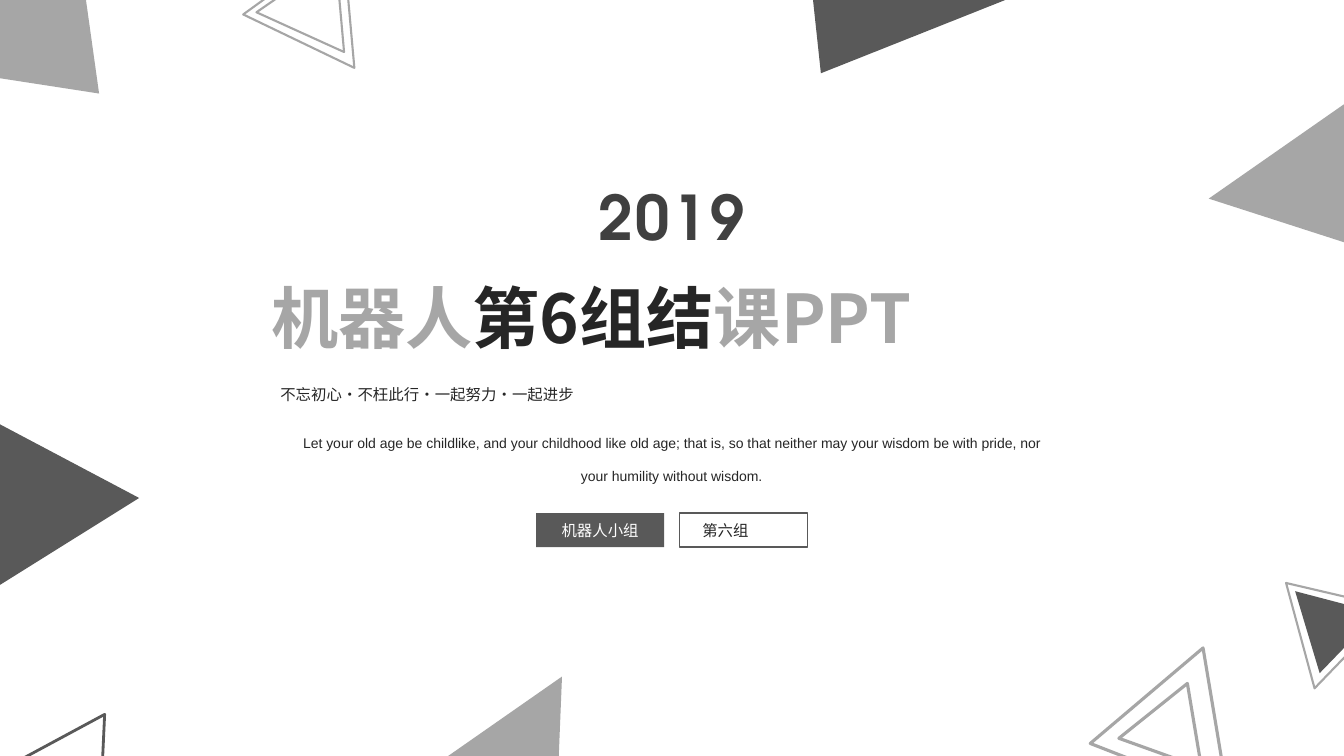
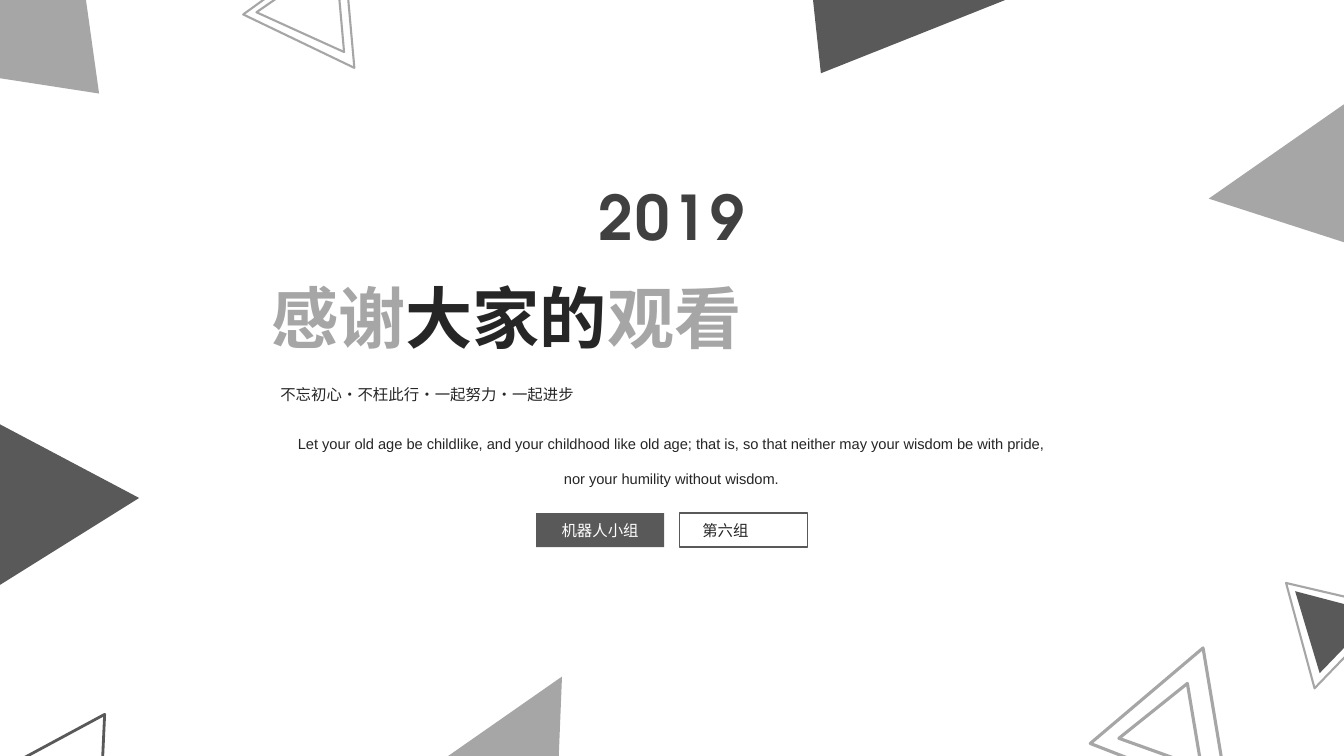
from lxml import etree
from pptx import Presentation
from pptx.dml.color import RGBColor
from pptx.enum.shapes import MSO_SHAPE
from pptx.enum.text import MSO_ANCHOR, MSO_AUTO_SIZE, PP_ALIGN
from pptx.oxml.ns import qn
from pptx.util import Cm, Pt

TRIANGLE, RECTANGLE = MSO_SHAPE.ISOSCELES_TRIANGLE, MSO_SHAPE.RECTANGLE
TOP, MIDDLE = MSO_ANCHOR.TOP, MSO_ANCHOR.MIDDLE
CENTER, JUSTIFY = PP_ALIGN.CENTER, PP_ALIGN.JUSTIFY
GROW, FIXED = MSO_AUTO_SIZE.SHAPE_TO_FIT_TEXT, MSO_AUTO_SIZE.NONE

DARK, LIGHT, INK, YEAR_GREY, WHITE = "595959", "A6A6A6", "262626", "404040", "FFFFFF"
CHINESE, LATIN, DISPLAY = "Noto Sans CJK SC", "Arial", "TeX Gyre Adventor"

# Content: title parts with their colours, and the size of the quote
SLIDES = [
    {"title": [("机器人", LIGHT), ("第6组结", INK), ("课PPT", LIGHT)], "quote_size": 10},
    {"title": [("感谢", LIGHT), ("大家的", INK), ("观看", LIGHT)], "quote_size": 10.5},
]
YEAR = "2019"
MOTTO = "不忘初心·不枉此行·一起努力·一起进步"
QUOTE = ("Let your old age be childlike, and your childhood like old age; that is, "
         "so that neither may your wisdom be with pride, nor your humility without wisdom.")
# Label, fill, line, text colour, alignment
BUTTONS = [
    ("机器人小组", DARK, None, WHITE, CENTER),
    ("第六组", None, DARK, INK, JUSTIFY),
]

# Positions in centimetres: left, top, width, height
YEAR_AREA = (13.46, 4.39, 6.93, 2.13)
TITLE_AREA = (6.58, 6.83, 20.7, 2.31)
MOTTO_AREA = (6.81, 9.58, 20.27, 0.74)
QUOTE_AREA = (7.11, 10.39, 19.63, 1.83)
BUTTON_AREA = (13.51, 12.93, 3.23, 0.86)
BUTTON_PITCH, BUTTON_INSET = 3.61, 0.58

# Area, rotation, colour, outline width (0 means filled)
TRIANGLES = [
    ((18.14, -2.87, 7.72, 5.08), 211.1, DARK, 0),
    ((0.58, 18.52, 2.77, 2.31), 151.7, DARK, 2),
    ((-2.67, 9.7, 5.36, 4.62), 328, DARK, 0),
    ((5.87, -1.09, 3.18, 2.67), 264.9, LIGHT, 1.5),
    ((6.32, -0.84, 2.39, 2.11), 264.9, LIGHT, 1.5),
    ((-3.15, -2.06, 7.67, 5.16), 135.4, LIGHT, 0),
    ((31.85, 14.33, 2.82, 2.36), 314, LIGHT, 1.5),
    ((32.26, 14.61, 2.11, 1.88), 314, DARK, 0),
    ((27.15, 16.87, 3.81, 3.2), 260.5, LIGHT, 2.25),
    ((28.07, 17.48, 2.16, 1.93), 260.5, LIGHT, 2.25),
    ((31.22, 2.34, 7.72, 5.08), 145.1, LIGHT, 0),
    ((8.59, 18.8, 7.72, 5.08), 145.1, LIGHT, 0),
]


def colour(value):
    return RGBColor.from_string(value)


def set_all(target, values):
    for name, value in values.items():
        setattr(target, name, value)


def place(box, area):
    set_all(box, dict(zip(("left", "top", "width", "height"), map(Cm, area))))


def add_figure(page, kind, area, fill=None, line=None, width=1):
    box = page.shapes.add_shape(kind, *map(Cm, area))
    box.shadow.inherit = False
    if fill:
        box.fill.solid()
        box.fill.fore_color.rgb = colour(fill)
    else:
        box.fill.background()
    if line:
        box.line.color.rgb = colour(line)
        box.line.width = Pt(width)
    else:
        box.line.fill.background()
    return box


def write(box, parts, size, font, align, bold=False, spacing=1.0, tracking=0,
          anchor=TOP, fit=GROW):
    """Write one paragraph made of (text, colour) parts."""
    set_all(box.text_frame, {"word_wrap": True, "auto_size": fit, "vertical_anchor": anchor})
    para = box.text_frame.paragraphs[0]
    set_all(para, {"alignment": align, "line_spacing": spacing, "space_before": Pt(0)})
    for text, text_colour in parts:
        span = para.add_run()
        span.text = text
        set_all(span.font, {"size": Pt(size), "name": font, "bold": bold})
        span.font.color.rgb = colour(text_colour)
        # East Asian typeface and letter spacing
        properties = span._r.get_or_add_rPr()
        etree.SubElement(properties, qn("a:ea")).set("typeface", font)
        if tracking:
            properties.set("spc", str(tracking * 100))


def add_text(page, area, *args, **options):
    write(page.shapes.add_textbox(*map(Cm, area)), *args, **options)


def add_triangles(page):
    for area, rotation, tint, width in TRIANGLES:
        paint = {"line": tint, "width": width} if width else {"fill": tint}
        add_figure(page, TRIANGLE, area, **paint).rotation = rotation


def add_buttons(page):
    left, top, width, height = BUTTON_AREA
    margins = {"margin_left": Cm(BUTTON_INSET), "margin_right": Cm(BUTTON_INSET),
               "margin_top": 0, "margin_bottom": 0}
    for index, (label, fill, line, ink, align) in enumerate(BUTTONS):
        area = (left + index * BUTTON_PITCH, top, width, height)
        box = add_figure(page, RECTANGLE, area, fill, line)
        set_all(box.text_frame, margins)
        write(box, [(label, ink)], 11, CHINESE, align, anchor=MIDDLE, fit=FIXED)


def add_page(deck, title, quote_size):
    page = deck.slides.add_slide(deck.slide_layouts[0])
    add_triangles(page)

    # Title and motto
    heading, motto = page.placeholders
    place(heading, TITLE_AREA)
    write(heading, title, 48, CHINESE, JUSTIFY, bold=True)
    place(motto, MOTTO_AREA)
    write(motto, [(MOTTO, INK)], 11, CHINESE, JUSTIFY)

    # Year, quote and buttons
    add_text(page, YEAR_AREA, [(YEAR, YEAR_GREY)], 44, DISPLAY, CENTER, bold=True, tracking=2)
    add_text(page, QUOTE_AREA, [(QUOTE, INK)], quote_size, LATIN, CENTER, spacing=2.0)
    add_buttons(page)


def main():
    deck = Presentation()
    set_all(deck, {"slide_width": Cm(33.87), "slide_height": Cm(19.05)})
    for content in SLIDES:
        add_page(deck, **content)
    deck.save("out.pptx")


if __name__ == "__main__":
    main()
